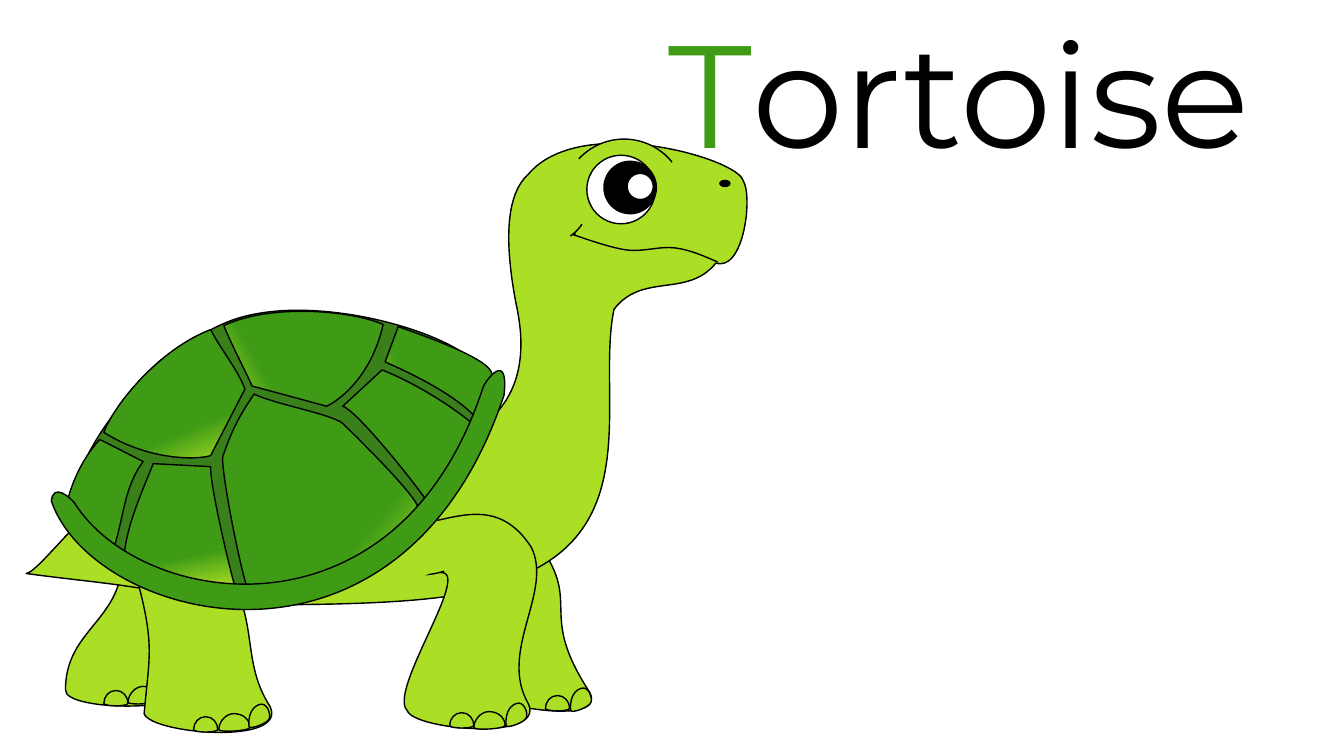
import lxml.etree
import pptx
import pptx.util
import pptx.dml.color
import pptx.enum.shapes
import pptx.enum.text
import pptx.oxml.ns

RGB = pptx.dml.color.RGBColor
MSO = pptx.enum.shapes.MSO_SHAPE
qn = pptx.oxml.ns.qn

PX = 9144  # 100 px to the inch
CURVE_STEPS = 8

LIME = RGB(0xAB, 0xDF, 0x25)
GREEN = RGB(0x3F, 0x9B, 0x16)
DARK_GREEN = RGB(0x3A, 0x80, 0x1A)
BLACK = RGB(0, 0, 0)
WHITE = RGB(255, 255, 255)

# Outlines: a start point, then curves (six numbers) or lines (two numbers)
FAR_FRONT_LEG = [(543, 553), (502, 488, 483, 518, 438, 506), (438, 525),
                 (466, 622, 459, 609, 454, 676), (460, 696, 604, 725, 585, 687),
                 (536, 612, 572, 602, 543, 553)]
FAR_HIND_LEG = [(149, 547), (108, 482, 174, 511, 129, 499), (115, 517),
                (143, 614, 65, 614, 65, 684), (62, 707, 208, 707, 189, 677),
                (162, 633, 178, 596, 149, 547)]
BODY = [(737, 179), (731, 157, 575, 112, 524, 173), (505, 190, 498, 229, 512, 302),
        (561, 523, 208, 439, 218, 439), (128, 435, 44, 567, 26, 569),
        (91, 578, 141, 580, 218, 600), (398, 601, 475, 595, 524, 568),
        (638, 515, 592, 389, 609, 307), (637, 270, 682, 296, 710, 261),
        (738, 270, 747, 194, 737, 179)]
NEAR_HIND_LEG = [(228, 571), (186, 506, 172, 535, 127, 523), (127, 542),
                 (155, 639, 149, 641, 143, 708), (149, 728, 286, 740, 268, 701),
                 (240, 658, 256, 620, 228, 571)]
NEAR_FRONT_LEG = [(527, 543), (485, 478, 429, 532, 383, 520), (396, 547),
                  (392, 588, 455, 561, 437, 568), (469, 566, 384, 686, 404, 705),
                  (410, 724, 542, 736, 524, 698), (494, 646, 549, 587, 527, 543)]
MOUTH = [(712, 260), (698, 254, 685, 248, 670, 246), (655, 244, 638, 250, 622, 248),
         (606, 246, 581, 237, 572, 234), (564, 232, 571, 232, 571, 232)]
SHELL = [(477, 368), (463, 333, 305, 284, 222, 321), (139, 357, 76, 451, 73, 494),
         (90, 561, 199, 620, 323, 570), (447, 521, 492, 402, 477, 368)]
SHELL_RIM = [(500, 392), (505, 346, 481, 378, 479, 385), (394, 644, 139, 603, 74, 499),
             (69, 493, 53, 479, 51, 497), (91, 616, 397, 700, 500, 392)]

# Shell plates: gradient angle and outline
PLATES = [
    (30, [(380, 322), (352, 309, 271, 300, 222, 323), (230, 343, 241, 363, 250, 383),
          (324, 403), (335, 398, 368, 375, 380, 322)]),
    (113, [(103, 429), (114, 400, 159, 346, 209, 327), (219, 347, 235, 365, 243, 386),
           (209, 452), (198, 456, 149, 458, 103, 429)]),
    (30, [(488, 372), (489, 357, 423, 334, 395, 324), (382, 359),
          (411, 372, 448, 390, 470, 412), (473, 407, 490, 396, 488, 372)]),
    (30, [(466, 418), (441, 398, 407, 378, 379, 367), (340, 403),
          (353, 407, 405, 471, 422, 495), (428, 492, 469, 442, 466, 418)]),
    (140, [(221, 453), (231, 424, 238, 412, 252, 391), (276, 402, 326, 410, 340, 420),
           (351, 431, 419, 497, 415, 506), (376, 547, 320, 584, 247, 586),
           (243, 587, 219, 470, 221, 453)]),
    (102, [(123, 554), (125, 522, 141, 488, 152, 460), (209, 463),
           (208, 478, 225, 553, 233, 582), (226, 584, 140, 572, 123, 554)]),
    (150, [(67, 496), (71, 482, 79, 458, 99, 436), (142, 458),
           (123, 483, 123, 513, 113, 543), (108, 540, 76, 518, 67, 496)]),
]

# Toes, measured from their own top left corner
SMALL_TOE = [(24, 13), (24, 6, 19, 0, 12, 0), (5, 0, 0, 6, 0, 13), (2, 16, 22, 16, 24, 13)]
BIG_TOE = [(31, 14), (31, 6, 24, 0, 15, 0), (7, 0, 0, 8, 0, 16), (3, 19, 29, 17, 31, 14)]
OUTER_TOE = [(21, 14), (23, 10, 19, -3, 11, 0), (3, 3, 0, 12, 1, 22), (3, 25, 20, 18, 21, 14)]


def paint(sp, fill, line=BLACK):
    sp.shadow.inherit = False
    if fill is None:
        sp.fill.background()
    else:
        sp.fill.solid()
        sp.fill.fore_color.rgb = fill
    if line is None:
        sp.line.fill.background()
    else:
        sp.line.color.rgb = line
        sp.line.width = pptx.util.Pt(1)


def paint_gradient(sp, angle, colors, end):
    sp.fill.gradient()
    sp.fill.gradient_angle = angle
    for stop, color, position in zip(sp.fill.gradient_stops, colors, (0, end)):
        stop.color.rgb = color
        stop.position = position


def trace(outline):
    """List points along an outline, to find the box that holds it."""
    points = [outline[0]]
    for segment in outline[1:]:
        if len(segment) == 2:
            points.append(segment)
            continue
        x0, y0 = points[-1]
        x1, y1, x2, y2, x3, y3 = segment
        for i in range(1, CURVE_STEPS + 1):
            t = i / CURVE_STEPS
            a, b, c, d = (1 - t) ** 3, 3 * t * (1 - t) ** 2, 3 * t * t * (1 - t), t ** 3
            points.append((a * x0 + b * x1 + c * x2 + d * x3,
                           a * y0 + b * y1 + c * y2 + d * y3))
    return points


def set_curves(sp, outline, left, top, close):
    """Write the outline as true curves inside the shape's box."""
    path = next(sp._element.iter(qn("a:path")))
    for child in list(path):
        path.remove(child)
    for i, segment in enumerate(outline):
        tag = "a:moveTo" if i == 0 else "a:lnTo" if len(segment) == 2 else "a:cubicBezTo"
        step = lxml.etree.SubElement(path, qn(tag))
        for x, y in zip(segment[::2], segment[1::2]):
            lxml.etree.SubElement(step, qn("a:pt"), x=str((x + left) * PX - sp.left),
                                  y=str((y + top) * PX - sp.top))
    if close:
        lxml.etree.SubElement(path, qn("a:close"))


def add_outline(slide, outline, fill=LIME, left=0, top=0, close=True):
    points = [(round((x + left) * PX), round((y + top) * PX)) for x, y in trace(outline)]
    builder = slide.shapes.build_freeform(*points[0])
    builder.add_line_segments(points[1:], close=close)
    sp = builder.convert_to_shape()
    set_curves(sp, outline, left, top, close)
    paint(sp, fill)
    return sp


def add_leg(slide, outline, toes):
    add_outline(slide, outline)
    for toe, left, top in toes:
        add_outline(slide, toe, left=left, top=top)


def add_oval(slide, left, top, width, height, fill, line=BLACK):
    sp = slide.shapes.add_shape(MSO.OVAL, left * PX, top * PX, width * PX, height * PX)
    paint(sp, fill, line)


def add_arc(slide, left, top, size, rotation, start, end, fill):
    sp = slide.shapes.add_shape(MSO.ARC, left * PX, top * PX, size * PX, size * PX)
    sp.adjustments[0], sp.adjustments[1] = start, end
    sp.rotation = rotation
    sp._element.spPr.xfrm.set("flipH", "1")
    paint(sp, fill)


def add_title(slide):
    sp = slide.shapes.title
    sp.left, sp.top, sp.width, sp.height = 653 * PX, -2 * PX, 692 * PX, 185 * PX
    tf = sp.text_frame
    tf.word_wrap = True
    tf.auto_size = pptx.enum.text.MSO_AUTO_SIZE.NONE
    tf.vertical_anchor = pptx.enum.text.MSO_ANCHOR.TOP
    p = tf.paragraphs[0]
    p.alignment = pptx.enum.text.PP_ALIGN.LEFT
    for text, color in (("T", GREEN), ("ortoise", BLACK)):
        r = p.add_run()
        r.text = text
        r.font.name = "Montserrat"
        r.font.size = pptx.util.Pt(104)
        r.font.color.rgb = color


def main():
    prs = pptx.Presentation()
    prs.slide_width, prs.slide_height = 1333 * PX, 750 * PX
    slide = prs.slides.add_slide(prs.slide_layouts[5])
    add_title(slide)
    # Far legs
    add_leg(slide, FAR_FRONT_LEG, [(SMALL_TOE, 541, 690), (OUTER_TOE, 565, 683)])
    add_leg(slide, FAR_HIND_LEG, [(SMALL_TOE, 103, 685), (BIG_TOE, 127, 681)])
    # Body and brow
    paint_gradient(add_outline(slide, BODY), 140, (GREEN, LIME), 0.19)
    add_arc(slide, 558, 138, 122, 45.2, 158.34, 1.49, LIME)
    # Near legs
    add_leg(slide, NEAR_HIND_LEG,
            [(SMALL_TOE, 192, 711), (BIG_TOE, 217, 708), (OUTER_TOE, 246, 699)])
    add_leg(slide, NEAR_FRONT_LEG,
            [(SMALL_TOE, 446, 707), (BIG_TOE, 470, 706), (OUTER_TOE, 501, 698)])
    add_oval(slide, 383, 505, 58, 68, LIME, None)
    # Face
    add_oval(slide, 582, 154, 68, 68, WHITE)
    add_oval(slide, 599, 160, 52, 52, BLACK)
    add_oval(slide, 622, 172, 26, 26, WHITE)
    add_oval(slide, 714, 179, 10, 6, BLACK)
    add_outline(slide, MOUTH, None, close=False)
    add_arc(slide, 496, 153, 89, 214.3, 203.25, 0, None)
    # Shell
    add_outline(slide, SHELL, DARK_GREEN)
    for angle, plate in PLATES:
        paint_gradient(add_outline(slide, plate), angle, (LIME, GREEN), 0.28)
    add_outline(slide, SHELL_RIM, GREEN)
    prs.save("out.pptx")


if __name__ == "__main__":
    main()
